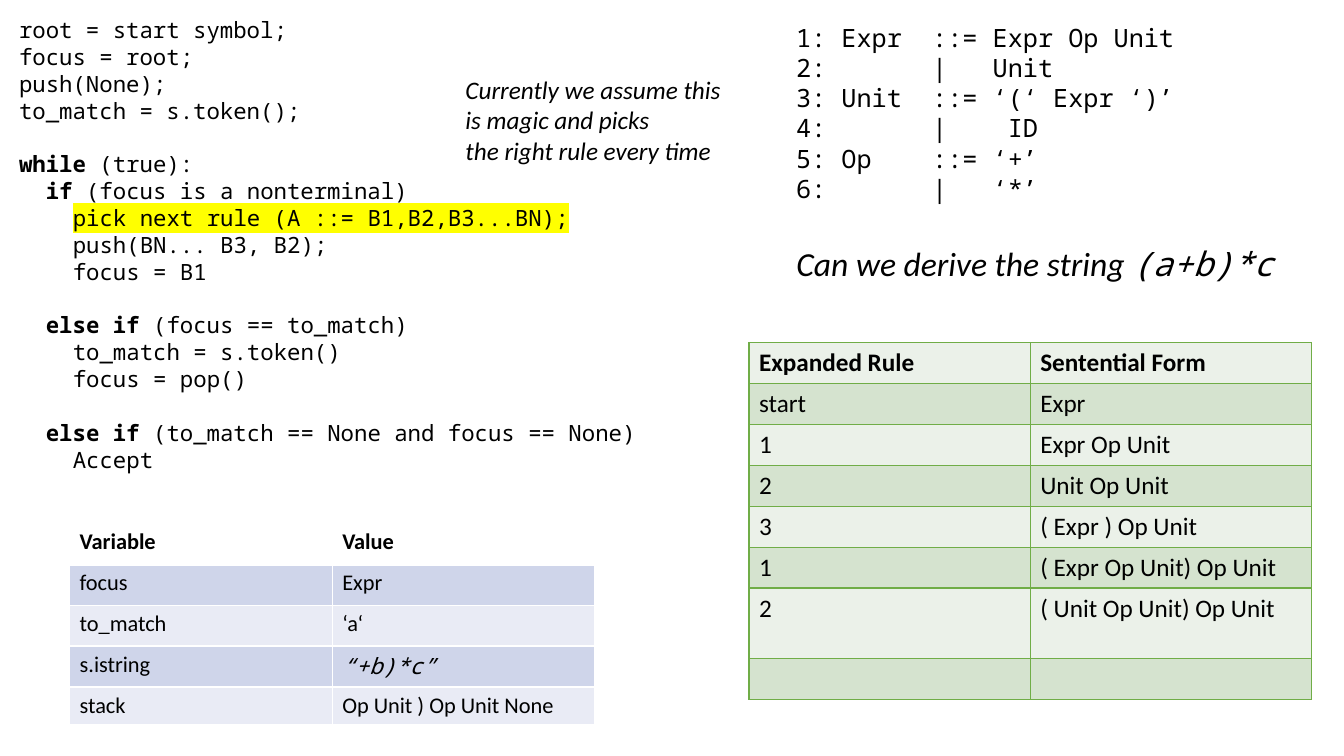
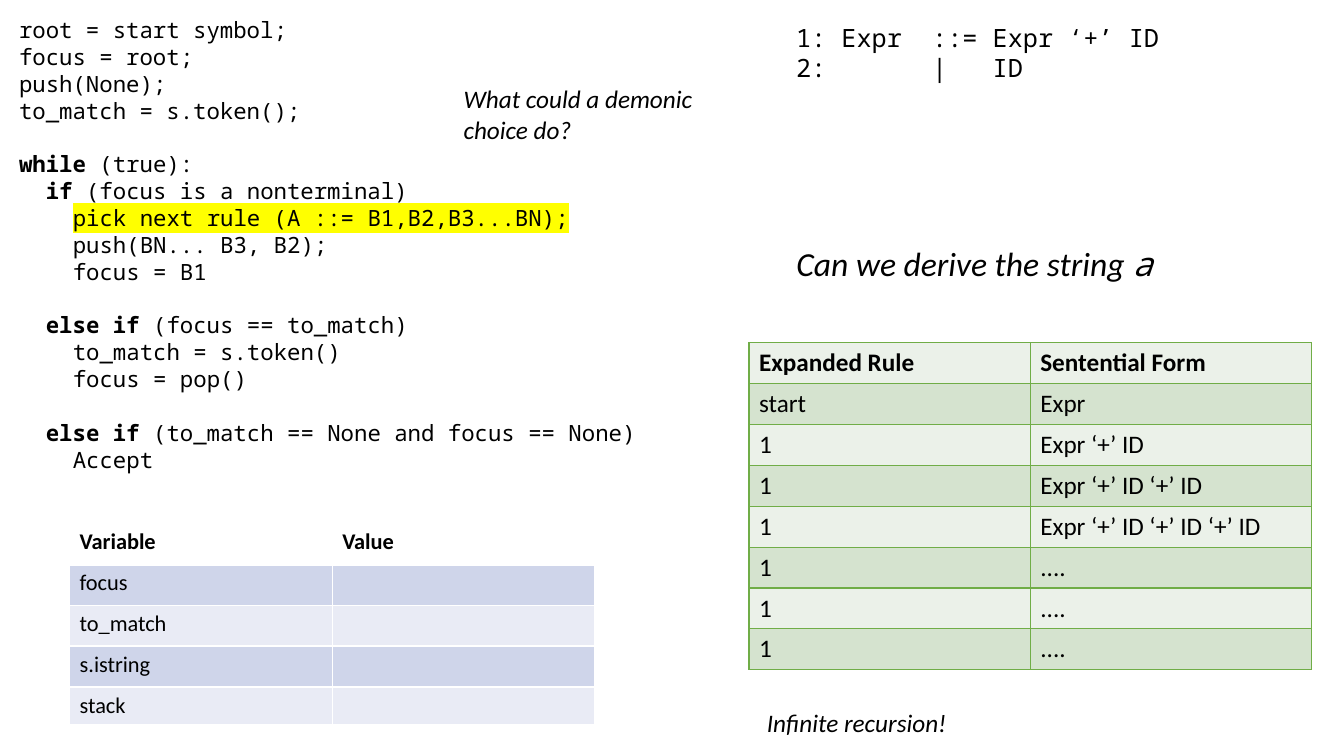
from collections import namedtuple
from dataclasses import dataclass
from itertools import product

from lxml.etree import SubElement
from pptx import Presentation
from pptx.dml.color import RGBColor
from pptx.enum.text import MSO_ANCHOR as Anchor, MSO_AUTO_SIZE as AutoSize, PP_ALIGN as Align
from pptx.oxml.ns import qn
from pptx.util import Pt

Box = namedtuple("Box", "left top width height")
Span = namedtuple("Span", "text bold italic mono marked", defaults=(False,) * 4)
Line = namedtuple("Line", "level spans gap", defaults=(False,))
TableLook = namedtuple("TableLook", "size header bands border header_rule")


@dataclass(frozen=True)
class Theme:
    """Hold the colours, fonts and type sizes that the slides share."""
    ink: str = "000000"
    highlight: str = "FFFF00"
    sans: str = "Calibri"
    mono: str = "Noto Sans Mono"
    code: int = 16
    text: int = 18
    question: int = 24
    leading: float = 1.2
    mono_width: float = 0.6
    derivation: TableLook = TableLook(18, "EBF1E9", ("D5E3CF", "EBF1E9"), "70AD47", 1)
    state: TableLook = TableLook(16, "FFFFFF", ("CFD5EA", "E9EBF5"), "FFFFFF", 3)


THEME = Theme()
ROW_HEIGHT = 29.2
CODE_BOX = Box(6.5, 7.9, 472, 395)
GRAMMAR_BOX = Box(561.6, 12.2, 308, 138)
QUESTION_BOX = Box(561.6, 170, 362, 36)
DERIVATION_BOX = Box(535, 244.8, 401.8, 8 * ROW_HEIGHT)
STATE_BOX = Box(49.7, 373.9, 375.2, 143.5)

CODE = [
    Line(0, [Span("root = start symbol;")]),
    Line(0, [Span("focus = root;")]),
    Line(0, [Span("push(None);")]),
    Line(0, [Span("to_match = s.token();")]),
    Line(0, [Span("while", bold=True), Span(" (true):")], gap=True),
    Line(1, [Span("if", bold=True), Span(" (focus is a nonterminal)")]),
    Line(2, [Span("pick next rule (A ::= B1,B2,B3...BN);", marked=True)]),
    Line(2, [Span("push(BN... B3, B2);")]),
    Line(2, [Span("focus = B1")]),
    Line(1, [Span("else if ", bold=True), Span("(focus == to_match)")], gap=True),
    Line(2, [Span("to_match = s.token()")]),
    Line(2, [Span("focus = pop()")]),
    Line(1, [Span("else if ", bold=True),
             Span("(to_match == None and focus == None)")], gap=True),
    Line(2, [Span("Accept")]),
]


def place(shape, box):
    """Move a shape to a box and resize it."""
    shape.left, shape.top, shape.width, shape.height = map(Pt, box)


def add_run(paragraph, span, size):
    """Append one formatted run to a paragraph."""
    run = paragraph.add_run()
    run.text = span.text
    font = run.font
    font.size, font.bold, font.italic = Pt(size), span.bold, span.italic
    font.name = THEME.mono if span.mono else THEME.sans
    font.color.rgb = RGBColor.from_string(THEME.ink)
    if span.marked:
        properties = run._r.get_or_add_rPr()
        highlight = SubElement(properties, qn("a:highlight"))
        SubElement(highlight, qn("a:srgbClr"), val=THEME.highlight)
        properties.find(qn("a:latin")).addprevious(highlight)


def add_paragraphs(slide, box, count):
    """Add a wrapping text box and return its paragraphs."""
    shape = slide.shapes.add_textbox(*map(Pt, box))
    frame = shape.text_frame
    frame.word_wrap = True
    for _ in range(count - 1):
        frame.add_paragraph()
    return frame.paragraphs


def add_code(slide, box):
    """Place the parsing algorithm with indented levels."""
    pitch = THEME.code * THEME.leading
    step = 2 * THEME.code * THEME.mono_width
    for paragraph, line in zip(add_paragraphs(slide, box, len(CODE)), CODE):
        paragraph.line_spacing = Pt(pitch)
        paragraph.space_before = Pt(pitch if line.gap else 0)
        paragraph._p.get_or_add_pPr().set("marL", str(Pt(line.level * step)))
        for span in line.spans:
            add_run(paragraph, span._replace(mono=True), THEME.code)


def add_grammar(slide, box, rules):
    """Place numbered grammar rules in tabbed columns."""
    for paragraph, rule in zip(add_paragraphs(slide, box, len(rules)), rules):
        paragraph.line_spacing = Pt(THEME.text * THEME.leading)
        tabs = SubElement(paragraph._p.get_or_add_pPr(), qn("a:tabLst"))
        for column in (3, 9, 13):
            position = Pt(column * THEME.text * THEME.mono_width)
            SubElement(tabs, qn("a:tab"), pos=str(position), algn="l")
        add_run(paragraph, Span("\t".join(rule), mono=True), THEME.text)


def add_remark(slide, box, lines):
    """Place an italic remark."""
    for paragraph, text in zip(add_paragraphs(slide, box, len(lines)), lines):
        add_run(paragraph, Span(text, italic=True), THEME.text)


def add_question(slide, box, string):
    """Put the derivation question in the title placeholder."""
    title = slide.shapes.title
    place(title, box)
    frame = title.text_frame
    frame.word_wrap, frame.auto_size = True, AutoSize.NONE
    frame.vertical_anchor = Anchor.TOP
    paragraph = frame.paragraphs[0]
    paragraph.alignment = Align.LEFT
    paragraph.line_spacing = Pt(THEME.question * THEME.leading)
    add_run(paragraph, Span("Can we derive the string ", italic=True), THEME.question)
    add_run(paragraph, Span(string, italic=True, mono=True), THEME.question)


def set_borders(cell, color, bottom_width):
    """Draw the four borders of a cell."""
    properties = cell._tc.get_or_add_tcPr()
    for index, side in enumerate("LRTB"):
        width = bottom_width if side == "B" else 1
        border = SubElement(properties, qn(f"a:ln{side}"), w=str(Pt(width)))
        fill = SubElement(border, qn("a:solidFill"))
        SubElement(fill, qn("a:srgbClr"), val=color)
        properties.insert(index, border)


def add_table(slide, box, rows, look, heights):
    """Place a two-column banded table with a bold header."""
    table = slide.shapes.add_table(len(rows), 2, *map(Pt, box)).table
    table.horz_banding = False
    for column in table.columns:
        column.width = Pt(box.width / 2)
    for row, height in zip(table.rows, heights):
        row.height = Pt(height)
    for row, column in product(range(len(rows)), range(2)):
        cell, value = table.cell(row, column), rows[row][column]
        color = look.bands[(row - 1) % 2] if row else look.header
        cell.fill.solid()
        cell.fill.fore_color.rgb = RGBColor.from_string(color)
        set_borders(cell, look.border, 1 if row else look.header_rule)
        paragraph = cell.text_frame.paragraphs[0]
        if value:
            span = value if isinstance(value, Span) else Span(value, bold=row == 0)
            add_run(paragraph, span, look.size)
        else:
            SubElement(paragraph._p, qn("a:endParaRPr"), sz=str(look.size * 100))


def add_parsing_slide(presentation, grammar, string, steps, values, remarks, tall_row=None):
    """Build one slide of algorithm, grammar, question, tables and remarks."""
    slide = presentation.slides.add_slide(presentation.slide_layouts[5])
    add_code(slide, CODE_BOX)
    add_question(slide, QUESTION_BOX, string)
    add_grammar(slide, GRAMMAR_BOX, grammar)
    steps = [("Expanded Rule", "Sentential Form"), ("start", "Expr"), *steps]
    heights = [50.4 if row == tall_row else ROW_HEIGHT for row in range(len(steps))]
    add_table(slide, DERIVATION_BOX, steps, THEME.derivation, heights)
    names = ("focus", "to_match", "s.istring", "stack")
    state = [("Variable", "Value"), *zip(names, values)]
    add_table(slide, STATE_BOX, state, THEME.state, [ROW_HEIGHT] * 4 + [26.7])
    for box, lines in remarks:
        add_remark(slide, box, lines)


def main():
    """Build both slides and save the presentation."""
    presentation = Presentation()
    presentation.slide_width, presentation.slide_height = Pt(960), Pt(540)
    add_parsing_slide(
        presentation,
        grammar=[
            ("1:", "Expr", "::=", "Expr Op Unit"),
            ("2:", "", "|", "Unit"),
            ("3:", "Unit", "::=", "‘(‘ Expr ‘)’"),
            ("4:", "", "|", " ID"),
            ("5:", "Op", "::=", "‘+’"),
            ("6:", "", "|", "‘*’"),
        ],
        string="(a+b)*c",
        steps=[
            ("1", "Expr Op Unit"),
            ("2", "Unit Op Unit"),
            ("3", "( Expr ) Op Unit"),
            ("1", "( Expr Op Unit) Op Unit"),
            ("2", "( Unit Op Unit) Op Unit"),
            ("", ""),
        ],
        values=("Expr", "‘a‘", Span("“+b)*c”", italic=True, mono=True),
                "Op Unit ) Op Unit None"),
        remarks=[(Box(325.4, 49.7, 202.3, 72.7),
                  ["Currently we assume this is magic and picks",
                   "the right rule every time"])],
        tall_row=6,
    )
    add_parsing_slide(
        presentation,
        grammar=[("1:", "Expr", "::=", "Expr ‘+’ ID"), ("2:", "", "|", "ID")],
        string="a",
        steps=[("1", "Expr" + " ‘+’ ID" * count) for count in (1, 2, 3)]
        + [("1", "....")] * 3,
        values=("",) * 4,
        remarks=[
            (Box(324, 56.2, 202.3, 51), ["What could a demonic", "choice do?"]),
            (Box(540.7, 501.8, 148, 29), ["Infinite recursion!"]),
        ],
    )
    presentation.save("out.pptx")


main()
